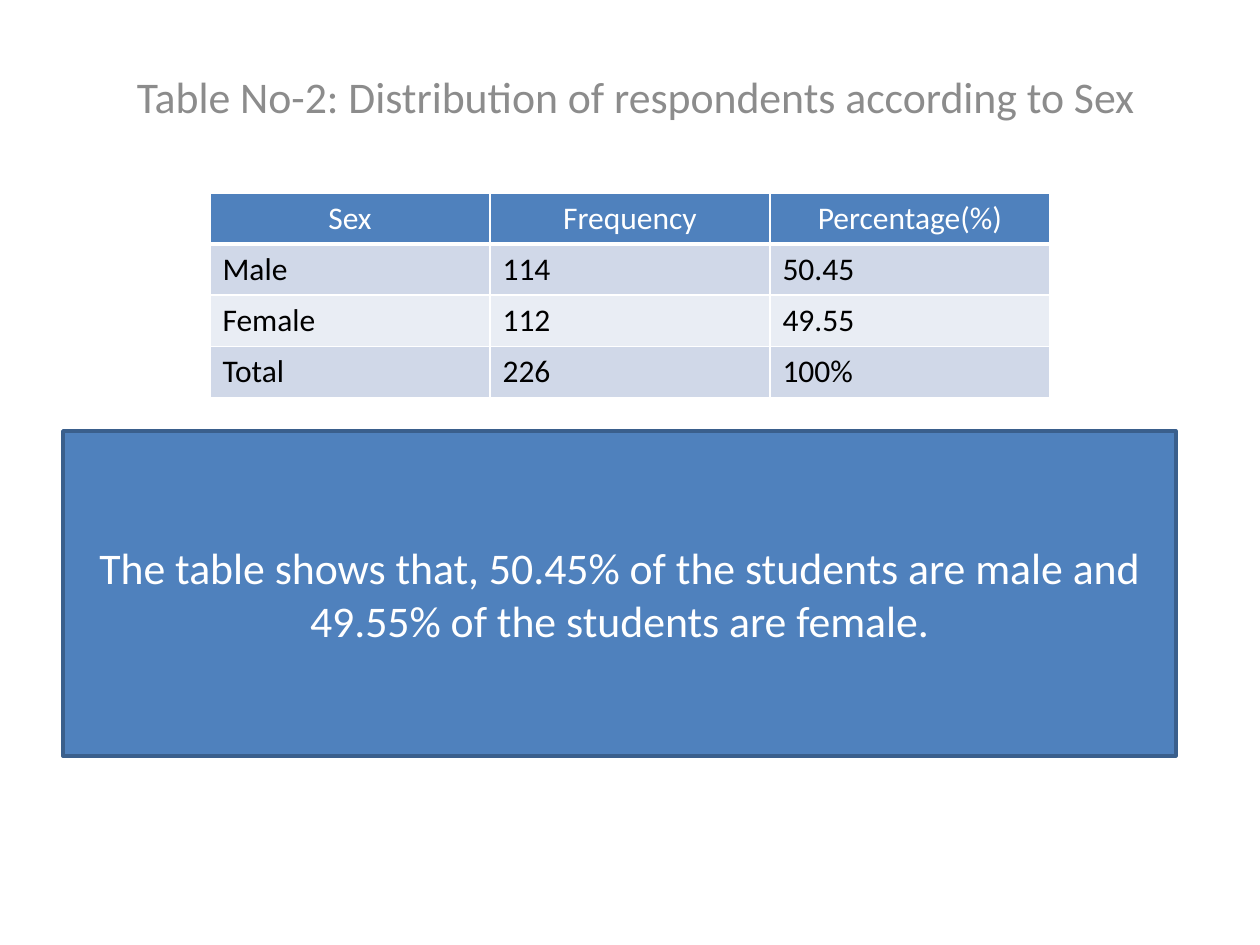
import pptx
import pptx.dml.color
import pptx.enum.shapes
import pptx.enum.text
import pptx.oxml
import pptx.oxml.ns
import pptx.util
from dataclasses import dataclass

ALIGN = pptx.enum.text.PP_ALIGN
ANCHOR = pptx.enum.text.MSO_ANCHOR


@dataclass(frozen=True)
class Theme:
    font: str = "Calibri"
    accent: str = "4F81BD"
    outline: str = "3A5F8C"
    bands: tuple = ("D0D8E8", "E9EDF4")
    light: str = "FFFFFF"
    dark: str = "000000"
    muted: str = "8C8C8C"
    statement_size: int = 25
    table_size: int = 18
    outline_width: int = 2
    grid_width: int = 1
    header_rule: int = 3


class SlideBuilder:
    SCALE = 914400 // 126

    def __init__(self, slide, theme):
        self.slide = slide
        self.theme = theme

    def box(self, *pixels):
        return [pptx.util.Emu(value * self.SCALE) for value in pixels]

    def color(self, value):
        return pptx.dml.color.RGBColor.from_string(value)

    def paint(self, item, value):
        item.fill.solid()
        item.fill.fore_color.rgb = self.color(value)

    def add_text(self, frame, text, size, color, align, before=0):
        frame.word_wrap = True
        paragraph = frame.paragraphs[0]
        paragraph.alignment = align
        paragraph.space_before = pptx.util.Pt(before)
        run = paragraph.add_run()
        run.text = text
        run.font.name = self.theme.font
        run.font.size = pptx.util.Pt(size)
        run.font.bold = False
        run.font.color.rgb = self.color(color)

    def title(self, text, bounds):
        heading = self.slide.shapes.title
        heading.left, heading.top, heading.width, heading.height = self.box(*bounds)
        frame = heading.text_frame
        frame.auto_size = pptx.enum.text.MSO_AUTO_SIZE.NONE
        frame.vertical_anchor = ANCHOR.TOP
        self.add_text(frame, text, self.theme.statement_size, self.theme.muted,
                      ALIGN.CENTER, before=5)

    def border(self, cell, bottom):
        properties = cell._tc.get_or_add_tcPr()
        widths = dict.fromkeys("LRT", self.theme.grid_width) | {"B": bottom}
        for side, width in widths.items():
            properties.append(pptx.oxml.parse_xml(
                f'<a:ln{side} {pptx.oxml.ns.nsdecls("a")} w="{pptx.util.Pt(width)}">'
                f'<a:solidFill><a:srgbClr val="{self.theme.light}"/></a:solidFill>'
                f'</a:ln{side}>'))

    def table(self, records, left, top, column_width, row_height):
        theme = self.theme
        rows, columns = len(records), len(records[0])
        bounds = self.box(left, top, columns * column_width, rows * row_height)
        grid = self.slide.shapes.add_table(rows, columns, *bounds).table
        for row, record in enumerate(records):
            header = row == 0
            background = theme.accent if header else theme.bands[(row - 1) % 2]
            for column, text in enumerate(record):
                cell = grid.cell(row, column)
                self.border(cell, theme.header_rule if header else theme.grid_width)
                self.paint(cell, background)
                self.add_text(cell.text_frame, text, theme.table_size,
                              theme.light if header else theme.dark,
                              ALIGN.CENTER if header else ALIGN.LEFT)

    def panel(self, text, bounds):
        theme = self.theme
        shape = self.slide.shapes.add_shape(
            pptx.enum.shapes.MSO_SHAPE.RECTANGLE, *self.box(*bounds))
        shape.shadow.inherit = False
        self.paint(shape, theme.accent)
        shape.line.color.rgb = self.color(theme.outline)
        shape.line.width = pptx.util.Pt(theme.outline_width)
        shape.text_frame.vertical_anchor = ANCHOR.MIDDLE
        self.add_text(shape.text_frame, text, theme.statement_size, theme.light,
                      ALIGN.CENTER)


deck = pptx.Presentation()
deck.slide_width = pptx.util.Inches(10)
deck.slide_height = pptx.util.Inches(7.5)
builder = SlideBuilder(deck.slides.add_slide(deck.slide_layouts[5]), Theme())

builder.title("Table No-2: Distribution of respondents according to Sex",
              (53, 63, 1165, 819))
builder.table(
    [
        ("Sex", "Frequency", "Percentage(%)"),
        ("Male", "114", "50.45"),
        ("Female", "112", "49.55"),
        ("Total", "226", "100%"),
    ],
    left=210, top=193, column_width=280, row_height=51)
builder.panel("The table shows that, 50.45% of the students are male and "
              "49.55% of the students are female.",
              (63, 431, 1113, 325))

deck.save("out.pptx")
